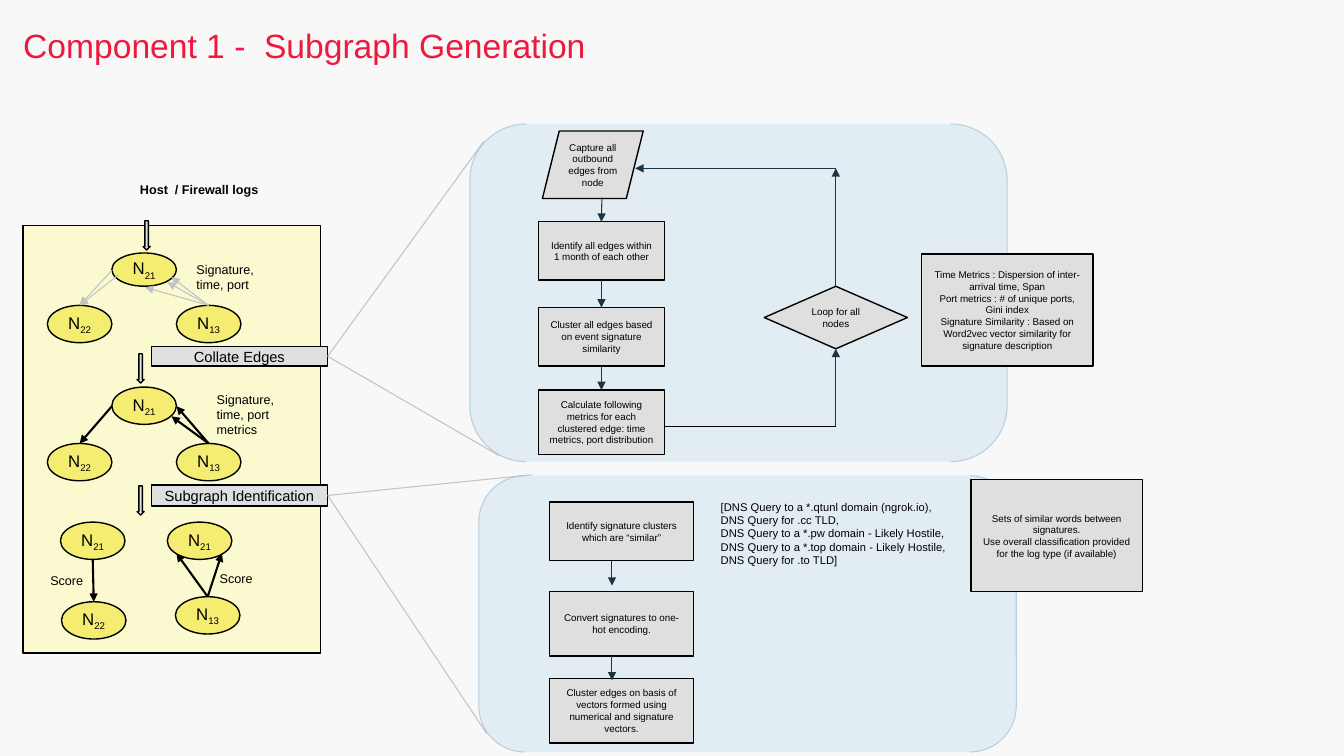
from dataclasses import dataclass
from typing import NamedTuple

from lxml.etree import SubElement
from pptx import Presentation
from pptx.dml.color import RGBColor
from pptx.enum.shapes import MSO_CONNECTOR, MSO_SHAPE
from pptx.enum.text import MSO_ANCHOR, MSO_AUTO_SIZE, PP_ALIGN
from pptx.oxml.ns import qn
from pptx.util import Inches, Pt


@dataclass(frozen=True)
class Theme:
    font: str = "Arial"
    background: str = "F8F8F8"
    title: str = "ED1A3D"
    ink: str = "000000"
    box: str = "DFDFDF"
    node: str = "F4ED71"
    graph_panel: str = "FBF9D0"
    detail_panel: str = "E2ECF3"
    detail_border: str = "B7CFE0"
    faint: str = "C0C2C4"
    flow: str = "1D3444"
    title_size: float = 24
    node_size: float = 12
    bar_size: float = 10.5
    label_size: float = 9
    example_size: float = 8
    box_size: float = 7
    thin: float = 0.75
    outline: float = 1
    bold_line: float = 1.5


class Joint(NamedTuple):
    """A connection site of a shape: 0 top, 1 left, 2 bottom, 3 right."""
    shape: object
    site: int


THEME = Theme()
TOP, BOTTOM, RIGHT = 0, 2, 3
NODE_WIDTH, NODE_HEIGHT = 0.64, 0.37

# Node number, left, top, height
NODES = [
    ("21", 1.11, 2.51, 0.33), ("22", 0.47, 3.03, NODE_HEIGHT), ("13", 1.75, 3.03, NODE_HEIGHT),
    ("21", 1.11, 3.84, NODE_HEIGHT), ("22", 0.47, 4.4, NODE_HEIGHT), ("13", 1.75, 4.4, NODE_HEIGHT),
    ("21", 0.6, 5.18, NODE_HEIGHT), ("22", 0.61, 5.97, NODE_HEIGHT),
    ("21", 1.66, 5.18, NODE_HEIGHT), ("13", 1.74, 5.92, NODE_HEIGHT),
]
RAW_EDGES = [
    ((1.11, 2.68), (0.79, 3.03)), ((1.17, 2.73), (0.79, 3.03)),
    ((2.07, 3.03), (1.66, 2.8)), ((2.07, 3.03), (1.7, 2.75)), ((2.07, 3.03), (1.44, 2.85)),
]
COLLATED_EDGES = [
    ((1.11, 4.03), (0.79, 4.4)), ((2.07, 4.4), (1.75, 4.03)), ((2.07, 4.4), (1.7, 4.13)),
    ((0.92, 5.55), (0.93, 5.97)), ((2.06, 5.92), (2.2, 5.49)), ((2.06, 5.92), (1.75, 5.49)),
]
STAGE_ARROWS = [(1.42, 2.19), (1.36, 3.51), (1.36, 4.82)]
# Text, left, top, width, height, bold
GRAPH_LABELS = [
    ("Host  / Firewall logs", 1.29, 1.76, 1.66, 0.25, True),
    ("Signature, time, port", 1.85, 2.55, 0.8, 0.4, False),
    ("Signature, time, port metrics", 2.05, 3.84, 1.05, 0.56, False),
    ("Score", 0.4, 5.63, 0.58, 0.25, False),
    ("Score", 2.08, 5.61, 0.58, 0.25, False),
]
# Text, top, height
COLLATE_STEPS = [
    ("Identify all edges within 1 month of each other", 2.2, 0.58),
    ("Cluster all edges based on event signature similarity", 3.05, 0.58),
    ("Calculate following metrics for each clustered edge: time metrics, port distribution",
     3.87, 0.64),
]
IDENTIFY_STEPS = [
    ("Identify signature clusters which are “similar”", 4.98, 0.58),
    ("Convert signatures to one-hot encoding.", 5.87, 0.64),
    ("Cluster edges on basis of vectors formed using numerical and signature vectors.",
     6.73, 0.64),
]
METRICS = [
    "Time Metrics : Dispersion of inter-arrival time, Span",
    "Port metrics : # of unique ports, Gini index",
    "Signature Similarity : Based on Word2vec vector similarity for signature description",
]
SIMILARITY = [
    "Sets of similar words between signatures.",
    "Use overall classification provided for the log type (if available)",
]
EXAMPLES = [
    "[DNS Query to a *.qtunl domain (ngrok.io),",
    "DNS Query for .cc TLD,",
    "DNS Query to a *.pw domain - Likely Hostile,",
    "DNS Query to a *.top domain - Likely Hostile,",
    "DNS Query for .to TLD]",
]


def rgb(colour):
    return RGBColor.from_string(colour)


def set_font(paragraph, size, colour=THEME.ink, bold=False):
    font = paragraph.font
    font.name, font.size, font.bold = THEME.font, Pt(size), bold
    font.color.rgb = rgb(colour)


def write(frame, lines, size, alignment, bold=False):
    frame.word_wrap = True
    frame.text = "\n".join(lines)
    for paragraph in frame.paragraphs:
        paragraph.alignment = alignment
        set_font(paragraph, size, bold=bold)


def add_figure(slide, kind, bounds, fill, border=THEME.ink, width=THEME.outline):
    shape = slide.shapes.add_shape(kind, *map(Inches, bounds))
    shape.shadow.inherit = False
    shape.fill.solid()
    shape.fill.fore_color.rgb = rgb(fill)
    shape.line.color.rgb = rgb(border)
    shape.line.width = Pt(width)
    shape.text_frame.vertical_anchor = MSO_ANCHOR.MIDDLE
    return shape


def add_box(slide, lines, bounds, kind=MSO_SHAPE.RECTANGLE, size=THEME.box_size):
    shape = add_figure(slide, kind, bounds, THEME.box)
    write(shape.text_frame, lines, size, PP_ALIGN.CENTER)
    return shape


def add_node(slide, number, left, top, height):
    bounds = (left, top, NODE_WIDTH, height)
    frame = add_figure(slide, MSO_SHAPE.OVAL, bounds, THEME.node).text_frame
    frame.word_wrap = False
    paragraph = frame.paragraphs[0]
    paragraph.alignment = PP_ALIGN.CENTER
    set_font(paragraph, THEME.node_size)
    paragraph.add_run().text = "N"
    subscript = paragraph.add_run()
    subscript.text = number
    subscript._r.get_or_add_rPr().set("baseline", "-25000")


def add_label(slide, lines, bounds, size=THEME.label_size, bold=False):
    frame = slide.shapes.add_textbox(*map(Inches, bounds)).text_frame
    write(frame, lines, size, PP_ALIGN.LEFT, bold)


def add_line(slide, start, end, colour, width=THEME.thin, arrow=True):
    """Draw a line; each end is an (x, y) point or a Joint."""
    points = [(0, 0) if isinstance(place, Joint) else place for place in (start, end)]
    lengths = [Inches(value) for point in points for value in point]
    connector = slide.shapes.add_connector(MSO_CONNECTOR.STRAIGHT, *lengths)
    if isinstance(start, Joint):
        connector.begin_connect(*start)
    if isinstance(end, Joint):
        connector.end_connect(*end)
    connector.line.color.rgb = rgb(colour)
    connector.line.width = Pt(width)
    properties = connector.element.spPr
    SubElement(properties, qn("a:effectLst"))
    if arrow:
        SubElement(properties.find(qn("a:ln")), qn("a:tailEnd"), type="triangle")


def add_title(slide, text):
    title = slide.shapes.title
    title.left, title.top, title.width, title.height = map(Inches, (0.23, 0.29, 12.33, 0.36))
    frame = title.text_frame
    frame.margin_left = frame.margin_top = frame.margin_right = frame.margin_bottom = 0
    frame.auto_size = MSO_AUTO_SIZE.NONE
    frame.vertical_anchor = MSO_ANCHOR.TOP
    frame.text = text
    paragraph = frame.paragraphs[0]
    paragraph.alignment = PP_ALIGN.LEFT
    paragraph.line_spacing = 0.9
    set_font(paragraph, THEME.title_size, THEME.title)


def add_graph_panel(slide):
    """Draw the graph stages and return the bars that name the two steps."""
    add_figure(slide, MSO_SHAPE.RECTANGLE, (0.23, 2.24, 2.95, 4.24), THEME.graph_panel)
    for node in NODES:
        add_node(slide, *node)
    for start, end in RAW_EDGES:
        add_line(slide, start, end, THEME.faint)
    for start, end in COLLATED_EDGES:
        add_line(slide, start, end, THEME.ink, THEME.bold_line)
    for left, top in STAGE_ARROWS:
        add_figure(slide, MSO_SHAPE.DOWN_ARROW, (left, top, 0.07, 0.29), THEME.box)
    for text, *bounds, bold in GRAPH_LABELS:
        add_label(slide, [text], bounds, bold=bold)
    return [add_box(slide, [text], (1.5, top, 1.75, height), size=THEME.bar_size)
            for text, top, height in (("Collate Edges", 3.44, 0.19),
                                      ("Subgraph Identification", 4.81, 0.21))]


def add_detail_panel(slide, bounds, bar, corners):
    """Draw a rounded panel and the two lines that open it out of its bar."""
    add_figure(slide, MSO_SHAPE.DOUBLE_BRACKET, bounds, THEME.detail_panel,
               THEME.detail_border, THEME.thin)
    for corner in corners:
        add_line(slide, Joint(bar, RIGHT), corner, THEME.faint, arrow=False)


def add_steps(slide, steps, left, width):
    return [add_box(slide, [text], (left, top, width, height)) for text, top, height in steps]


def add_collate_flow(slide):
    add_box(slide, ["Capture all outbound edges from node"], (5.38, 1.3, 1, 0.67),
            MSO_SHAPE.PARALLELOGRAM)
    steps = add_steps(slide, COLLATE_STEPS, 5.34, 1.25)
    add_line(slide, (5.97, 1.96), Joint(steps[0], TOP), THEME.flow)
    for upper, lower in zip(steps, steps[1:]):
        add_line(slide, Joint(upper, BOTTOM), Joint(lower, TOP), THEME.flow)
    loop = add_box(slide, ["Loop for all nodes"], (7.58, 2.84, 1.42, 0.62), MSO_SHAPE.DIAMOND)
    add_line(slide, (6.59, 4.23), (8.29, 4.23), THEME.ink, arrow=False)
    add_line(slide, (8.29, 4.23), Joint(loop, BOTTOM), THEME.flow)
    add_line(slide, Joint(loop, TOP), (8.29, 1.67), THEME.flow)
    add_line(slide, (8.29, 1.67), (6.3, 1.67), THEME.flow)
    add_box(slide, METRICS, (9.14, 2.52, 1.7, 1.11))


def add_identify_flow(slide):
    add_steps(slide, IDENTIFY_STEPS, 5.45, 1.43)
    for top in (5.57, 6.51):
        add_line(slide, (6.07, top), (6.07, top + 0.24), THEME.flow)
    add_label(slide, EXAMPLES, (7.05, 4.91, 2.65, 0.77), THEME.example_size)
    add_box(slide, SIMILARITY, (9.63, 4.76, 1.7, 1.11))


def main():
    presentation = Presentation()
    presentation.slide_width, presentation.slide_height = Inches(13.33), Inches(7.5)
    slide = presentation.slides.add_slide(presentation.slide_layouts[5])
    slide.background.fill.solid()
    slide.background.fill.fore_color.rgb = rgb(THEME.background)
    add_title(slide, "Component 1 -  Subgraph Generation")
    collate_bar, identify_bar = add_graph_panel(slide)
    add_detail_panel(slide, (4.66, 1.23, 5.33, 3.35), collate_bar, [(4.8, 1.4), (4.95, 4.52)])
    add_collate_flow(slide)
    add_detail_panel(slide, (4.75, 4.72, 5.33, 2.74), identify_bar, [(5.28, 4.71), (4.83, 7.28)])
    add_identify_flow(slide)
    presentation.save("out.pptx")


if __name__ == "__main__":
    main()
